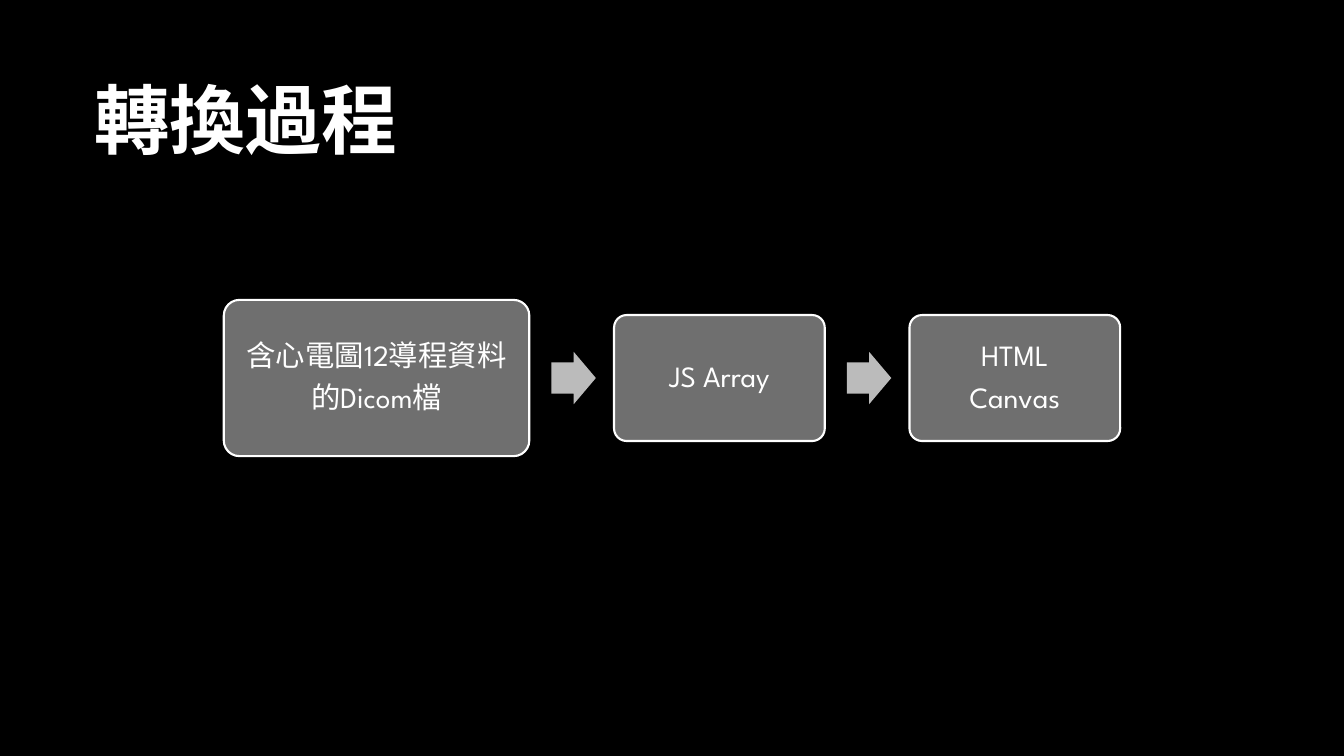
from pptx import Presentation
from pptx import util as u
from pptx.dml.color import RGBColor
from pptx.enum import shapes, text
from pptx.oxml.ns import qn
from lxml import etree


def color(fill, value):
    fill.solid()
    fill.fore_color.rgb = RGBColor.from_string(value)


def add_run(p, words, size, font, bold=False):
    p.alignment = text.PP_ALIGN.CENTER
    r = p.add_run()
    r.text = words
    r.font.size = u.Pt(size)
    r.font.bold = bold
    r.font.name = font
    color(r.font.fill, "FFFFFF")
    ea = etree.SubElement(r.font._element, qn("a:ea"))
    ea.set("typeface", "Noto Sans CJK SC")


prs = Presentation()
prs.slide_width = u.Inches(13.33)
prs.slide_height = u.Inches(7.5)
s = prs.slides.add_slide(prs.slide_layouts[6])
color(s.background.fill, "000000")

title = s.shapes.add_textbox(u.Inches(0.6), u.Inches(0.58), u.Inches(3.67), u.Inches(1.09))
tf = title.text_frame
tf.word_wrap = True
tf.vertical_anchor = text.MSO_ANCHOR.BOTTOM
add_run(tf.paragraphs[0], "轉換過程", 54, "Noto Sans CJK SC", True)

middle = prs.slide_height / 2
arrow_w, arrow_h = u.Inches(0.44), u.Inches(0.52)
arrow_gap, step_gap = u.Inches(0.22), u.Inches(0.84)
steps = [
    (3.03, 1.55, ["含心電圖12導程資料", "的Dicom檔"]),
    (2.09, 1.25, ["JS Array"]),
    (2.09, 1.25, ["HTML", "Canvas"]),
]

x = u.Inches(2.22)
for i, (width, height, lines) in enumerate(steps):
    w, h = u.Inches(width), u.Inches(height)
    sp = s.shapes.add_shape(shapes.MSO_SHAPE.ROUNDED_RECTANGLE, x, int(middle - h / 2), w, h)
    sp.shadow.inherit = False
    sp.adjustments[0] = 0.1
    color(sp.fill, "6F6F6F")
    color(sp.line.fill, "FFFFFF")
    sp.line.width = u.Pt(1.5)
    tf = sp.text_frame
    tf.word_wrap = True
    tf.vertical_anchor = text.MSO_ANCHOR.MIDDLE
    tf.margin_left = tf.margin_right = u.Inches(0.09)
    for n, line in enumerate(lines):
        p = tf.add_paragraph() if n else tf.paragraphs[0]
        p.line_spacing = 0.9
        p.space_after = u.Pt(7.35)
        add_run(p, line, 21, "League Spartan")
    x += w
    if i < len(steps) - 1:
        sp = s.shapes.add_shape(
            shapes.MSO_SHAPE.RIGHT_ARROW, x + arrow_gap, int(middle - arrow_h / 2), arrow_w, arrow_h
        )
        sp.shadow.inherit = False
        sp.adjustments[0] = 0.6
        sp.adjustments[1] = 0.5
        color(sp.fill, "BBBBBB")
        sp.line.fill.background()
        x += step_gap

prs.save("out.pptx")
